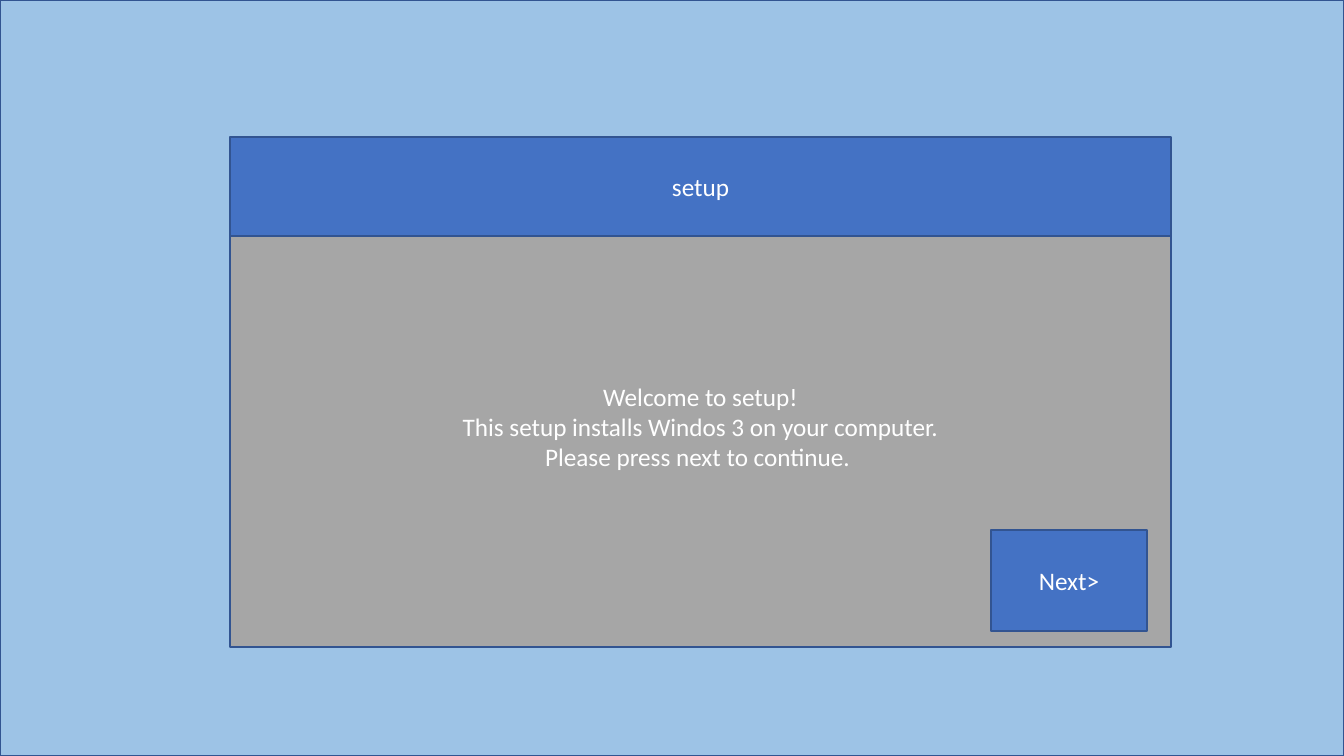
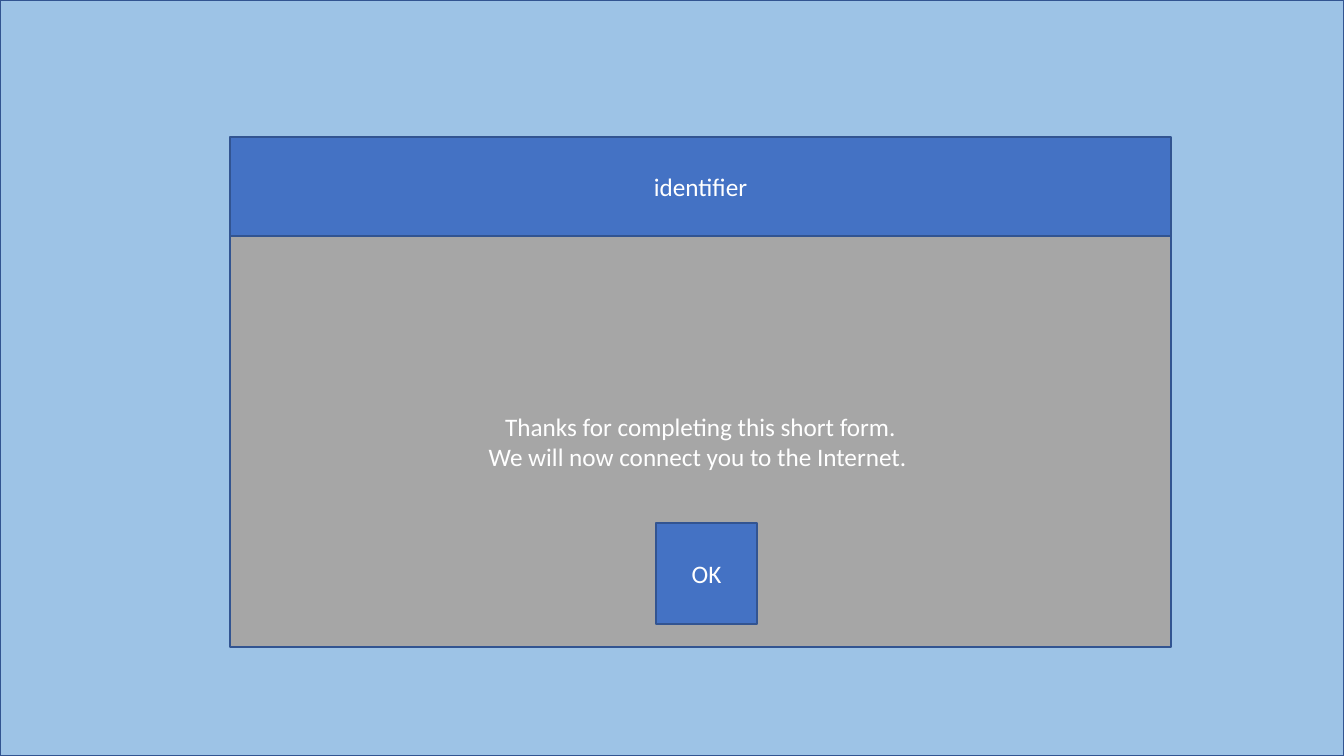
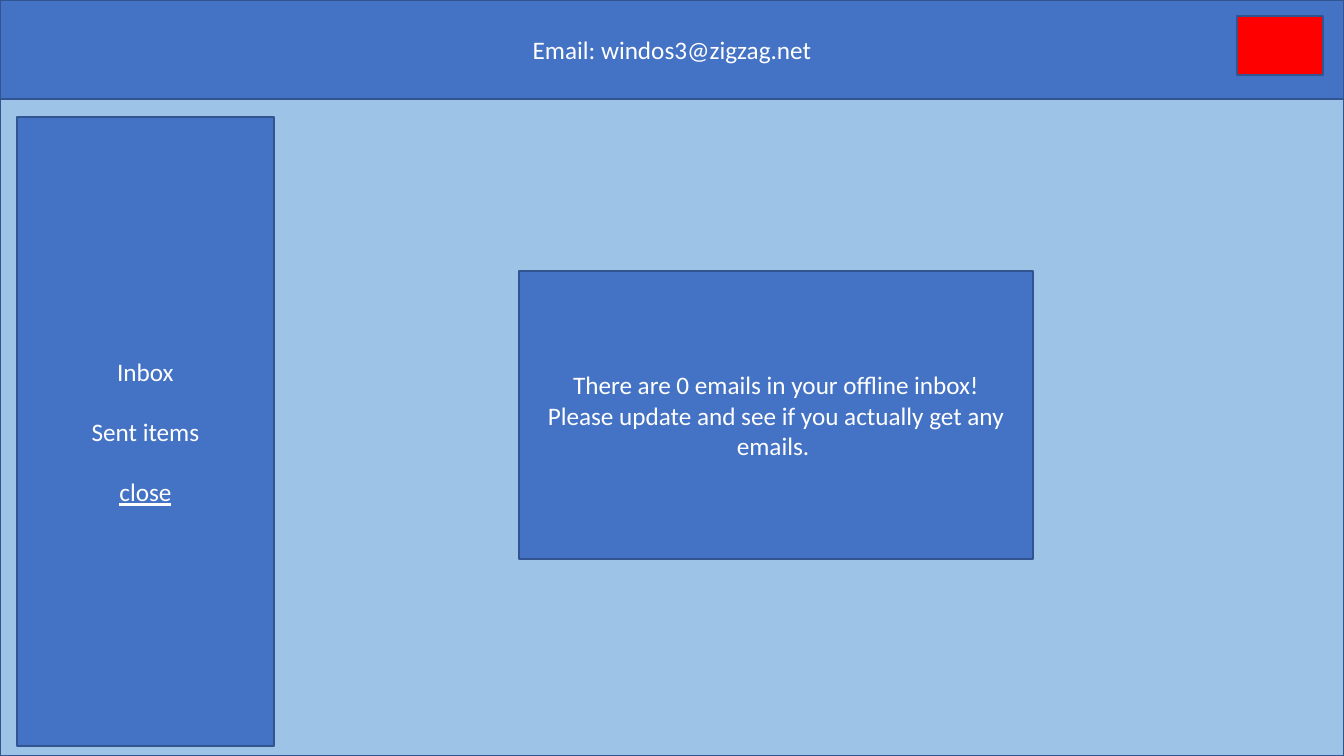
from pptx import Presentation
from pptx.dml.color import RGBColor
from pptx.enum import shapes, text
from pptx import util as u
from lxml import etree

SKY = RGBColor(0x9D, 0xC3, 0xE6)
BLUE = RGBColor(0x44, 0x72, 0xC4)
EDGE = RGBColor(0x32, 0x54, 0x91)
GRAY = RGBColor(0xA6, 0xA6, 0xA6)
RED = RGBColor(0xFF, 0, 0)
WHITE = RGBColor(0xFF, 0xFF, 0xFF)
FONT = "Calibri"
SCALE = 914400 / 100.8
WIDE, HIGH = 1344, 756
BAR = 99    # height of a title bar
ROW = 30    # height of a text line
NS = "http://schemas.openxmlformats.org/drawingml/2006/main"


def px(n):
    return u.Emu(round(n * SCALE))


def panel(slide, box, fill, lines=(), shape=None, gap=0, lift=0):
    """Place a bordered panel in front; use the given placeholder or a new rectangle."""
    if shape is None:
        shape = slide.shapes.add_shape(shapes.MSO_SHAPE.RECTANGLE, 0, 0, 0, 0)
    slide.shapes._spTree.append(shape._element)
    shape.left, shape.top, shape.width, shape.height = map(px, box)
    shape.shadow.inherit = False
    shape.fill.solid()
    shape.fill.fore_color.rgb = fill
    shape.line.color.rgb = EDGE
    shape.line.width = u.Pt(1)

    frame = shape.text_frame
    frame.text = "\n".join(lines)
    frame.word_wrap = True
    frame.auto_size = text.MSO_AUTO_SIZE.NONE
    frame.vertical_anchor = text.MSO_ANCHOR.MIDDLE
    frame.margin_left = frame.margin_right = px(10)
    frame.margin_top, frame.margin_bottom = px(5), px(5 + lift)
    for i, para in enumerate(frame.paragraphs):
        para.alignment = text.PP_ALIGN.CENTER
        para.line_spacing = 1.0
        para.space_before = px(gap if i else 0)
        para.space_after = 0
        # No bullet and no hanging indent
        props = para._p.get_or_add_pPr()
        props.set("marL", "0")
        props.set("indent", "0")
        etree.SubElement(props, f"{{{NS}}}buNone")
        for run in para.runs:
            run.font.name = FONT
            run.font.size = u.Pt(18)
            run.font.color.rgb = WHITE
    return shape


deck = Presentation()
deck.slide_width, deck.slide_height = px(WIDE), px(HIGH)
layout = deck.slide_layouts[1]

# Dialog slides: title, message, space under the message, button, button box
dialogs = [
    ("setup",
     ["Welcome to setup!",
      "This setup installs Windos 3 on your computer.",
      "Please press next to continue. "],
     ROW, "Next>", (991, 530, 156, 101)),
    ("identifier",
     ["Thanks for completing this short form.",
      "We will now connect you to the Internet. "],
     0, "OK", (656, 523, 101, 101)),
]
for title, message, lift, label, spot in dialogs:
    slide = deck.slides.add_slide(layout)
    head, body = slide.placeholders
    panel(slide, (0, 0, WIDE, HIGH), SKY)
    panel(slide, (230, 137 + BAR, 941, 411), GRAY, message, body, lift=lift)
    panel(slide, (230, 137, 941, BAR), BLUE, [title], head)
    panel(slide, spot, BLUE, [label])

# Mail slide
slide = deck.slides.add_slide(layout)
head, body = slide.placeholders
panel(slide, (0, 0, WIDE, HIGH), SKY)
panel(slide, (0, 0, WIDE, BAR), BLUE, ["Email: windos3@zigzag.net"], head)
panel(slide, (1237, 16, 86, 59), RED)

# Folder list
menu = panel(slide, (17, 117, 257, 629), BLUE,
             ["Inbox", "Sent items", "close"], body, gap=ROW)
menu.text_frame.paragraphs[-1].runs[0].font.underline = True

# Inbox notice
panel(slide, (519, 271, 514, 288), BLUE,
      ["There are 0 emails in your offline inbox!",
       "Please update and see if you actually get any emails. "])

deck.save("out.pptx")
